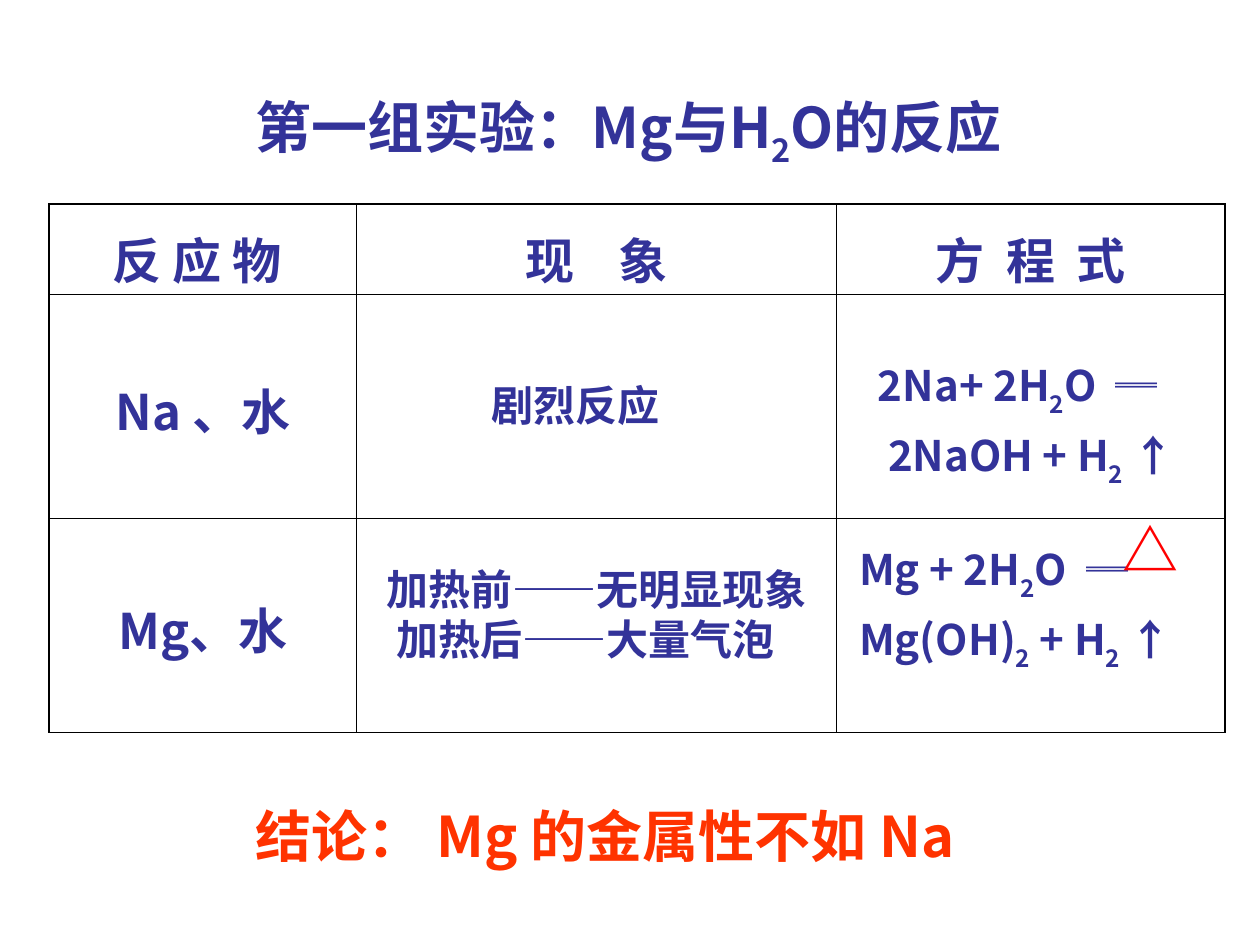
from dataclasses import dataclass

from lxml import etree
from pptx import Presentation
from pptx.dml.color import RGBColor
from pptx.enum.text import MSO_ANCHOR, MSO_AUTO_SIZE, PP_ALIGN
from pptx.oxml.ns import qn
from pptx.util import Inches, Pt

MIDDLE, TOP = MSO_ANCHOR.MIDDLE, MSO_ANCHOR.TOP
LEFT, CENTER = PP_ALIGN.LEFT, PP_ALIGN.CENTER
NO_FIT = MSO_AUTO_SIZE.NONE
TITLE_ONLY = 5


@dataclass(frozen=True)
class Theme:
    font: str = "Noto Sans CJK SC"
    ink: str = "333399"
    conclusion: str = "FF3300"
    heat: str = "FF0000"
    border: str = "000000"
    heading: int = 32
    cell: int = 28
    body: int = 24
    outer_line: float = 1.08
    inner_line: float = 0.45


THEME = Theme()

# Table grid, in inches
GRID_LEFT, GRID_TOP = 0.39, 1.62
COLUMNS = (2.44, 3.81, 3.08)
ROWS = (0.69, 1.78, 1.7)


# Run markup: a run is its text and the attributes it adds
def plain(text, spacing=0):
    return text, {"spc": str(int(spacing * 100))} if spacing else {}


def sub(text, drop=30):
    return text, {"baseline": str(-drop * 1000)}


WIDE_GAP = plain(" ", 5.4)


def write_paragraph(paragraph, runs, size, color, align=LEFT, before=0, indent=0):
    for name, value in {"alignment": align, "space_before": Pt(before)}.items():
        setattr(paragraph, name, value)
    if indent:
        properties = paragraph._p.get_or_add_pPr()
        properties.set("marL", str(Inches(indent)))
        properties.set("indent", "0")
    for text, attributes in runs:
        run = paragraph.add_run()
        run.text = text
        for name, value in {"name": THEME.font, "size": Pt(size), "bold": True}.items():
            setattr(run.font, name, value)
        run.font.color.rgb = RGBColor.from_string(color)
        run_properties = run._r.get_or_add_rPr()
        east_asian = etree.SubElement(run_properties, qn("a:ea"))
        east_asian.set("typeface", THEME.font)
        for name, value in attributes.items():
            run_properties.set(name, value)


def set_frame(frame):
    formats = {
        "word_wrap": True, "auto_size": NO_FIT, "vertical_anchor": MIDDLE,
        "margin_left": Inches(0.1), "margin_right": Inches(0.1),
        "margin_top": Inches(0.05), "margin_bottom": Inches(0.05),
    }
    for name, value in formats.items():
        setattr(frame, name, value)


def add_text(shapes, place, lines, size=THEME.body, color=THEME.ink, before=0, indents=()):
    frame = shapes.add_textbox(*map(Inches, place)).text_frame
    set_frame(frame)
    for number, runs in enumerate(lines):
        paragraph = frame.add_paragraph() if number else frame.paragraphs[0]
        write_paragraph(paragraph, runs, size, color,
                        before=before if number else 0,
                        indent=indents[number] if indents else 0)


def add_title(slide):
    title = slide.shapes.title
    title.left, title.top, title.width, title.height = map(Inches, (1.2, 0.68, 7.58, 0.71))
    set_frame(title.text_frame)
    runs = [plain("第一组实验：Mg与H"), sub("2", 25), plain("O的反应")]
    write_paragraph(title.text_frame.paragraphs[0], runs, THEME.heading, THEME.ink, CENTER)


def set_borders(cell, row, column):
    outer_sides = {
        "a:lnL": column == 0, "a:lnR": column == len(COLUMNS) - 1,
        "a:lnT": row == 0, "a:lnB": row == len(ROWS) - 1,
    }
    properties = cell._tc.get_or_add_tcPr()
    for position, (tag, outer) in enumerate(outer_sides.items()):
        line = etree.Element(qn(tag))
        line.set("w", str(Pt(THEME.outer_line if outer else THEME.inner_line)))
        fill = etree.SubElement(line, qn("a:solidFill"))
        etree.SubElement(fill, qn("a:srgbClr")).set("val", THEME.border)
        properties.insert(position, line)


def add_reaction_table(slide):
    # Header words are spread with letter spacing
    texts = {
        (0, 0): plain("反 应 物 "),
        (0, 1): plain("现 象", 9.4),
        (0, 2): plain("方 程 式", 3.1),
        (1, 0): plain(" Na 、水 "),
        (2, 0): plain("Mg、水"),
    }
    place = map(Inches, (GRID_LEFT, GRID_TOP, sum(COLUMNS), sum(ROWS)))
    table = slide.shapes.add_table(len(ROWS), len(COLUMNS), *place).table
    table.first_row = table.horz_banding = False
    for column, width in zip(table.columns, COLUMNS):
        column.width = Inches(width)
    for row, height in enumerate(ROWS):
        table.rows[row].height = Inches(height)
        for column in range(len(COLUMNS)):
            cell = table.cell(row, column)
            cell.fill.background()
            set_borders(cell, row, column)
            formats = {
                "vertical_anchor": MIDDLE if row else TOP,
                "margin_top": Inches(0.1 if row else 0.15),
                "margin_bottom": Inches(0.05 if row else 0),
            }
            for name, value in formats.items():
                setattr(cell, name, value)
            if (row, column) in texts:
                write_paragraph(cell.text_frame.paragraphs[0], [texts[row, column]],
                                THEME.cell, THEME.ink, CENTER)


def main():
    deck = Presentation()
    deck.slide_width, deck.slide_height = Inches(10), Inches(7.5)
    slide = deck.slides.add_slide(deck.slide_layouts[TITLE_ONLY])
    add_title(slide)
    add_reaction_table(slide)

    # Magnesium: phenomena, then the equation with its heating sign
    add_text(slide.shapes, (2.97, 4.42, 3.9, 0.9),
             [[plain("加热前——无明显现象")], [plain("加热后——大量气泡")]],
             indents=(0, 0.08))
    heated = slide.shapes.add_group_shape().shapes
    add_text(heated, (6.72, 4.26, 3.17, 1.13), [
        [plain("Mg + 2H"), sub("2"), plain("O"), WIDE_GAP, plain("═")],
        [plain("Mg(OH)"), sub("2"), plain(" + H"), sub("2"), plain(" ↑")],
    ], before=6)
    add_text(heated, (8.81, 4.04, 0.5, 0.64), [[plain("△")]], THEME.heading, THEME.heat)

    # Sodium: phenomenon and equation
    add_text(slide.shapes, (3.8, 2.96, 2.28, 0.5), [[plain("剧烈反应")]])
    add_text(slide.shapes, (6.87, 2.8, 2.83, 1.13), [
        [plain("2Na+ 2H"), sub("2"), plain("O"), WIDE_GAP, plain("═")],
        [plain("2NaOH + H"), sub("2"), plain(" ↑")],
    ], before=6, indents=(0, 0.08))

    # Conclusion
    add_text(slide.shapes, (1.93, 6.31, 6.67, 0.64),
             [[plain("结论： Mg 的金属性不如 Na")]], THEME.heading, THEME.conclusion)
    deck.save("out.pptx")


if __name__ == "__main__":
    main()
